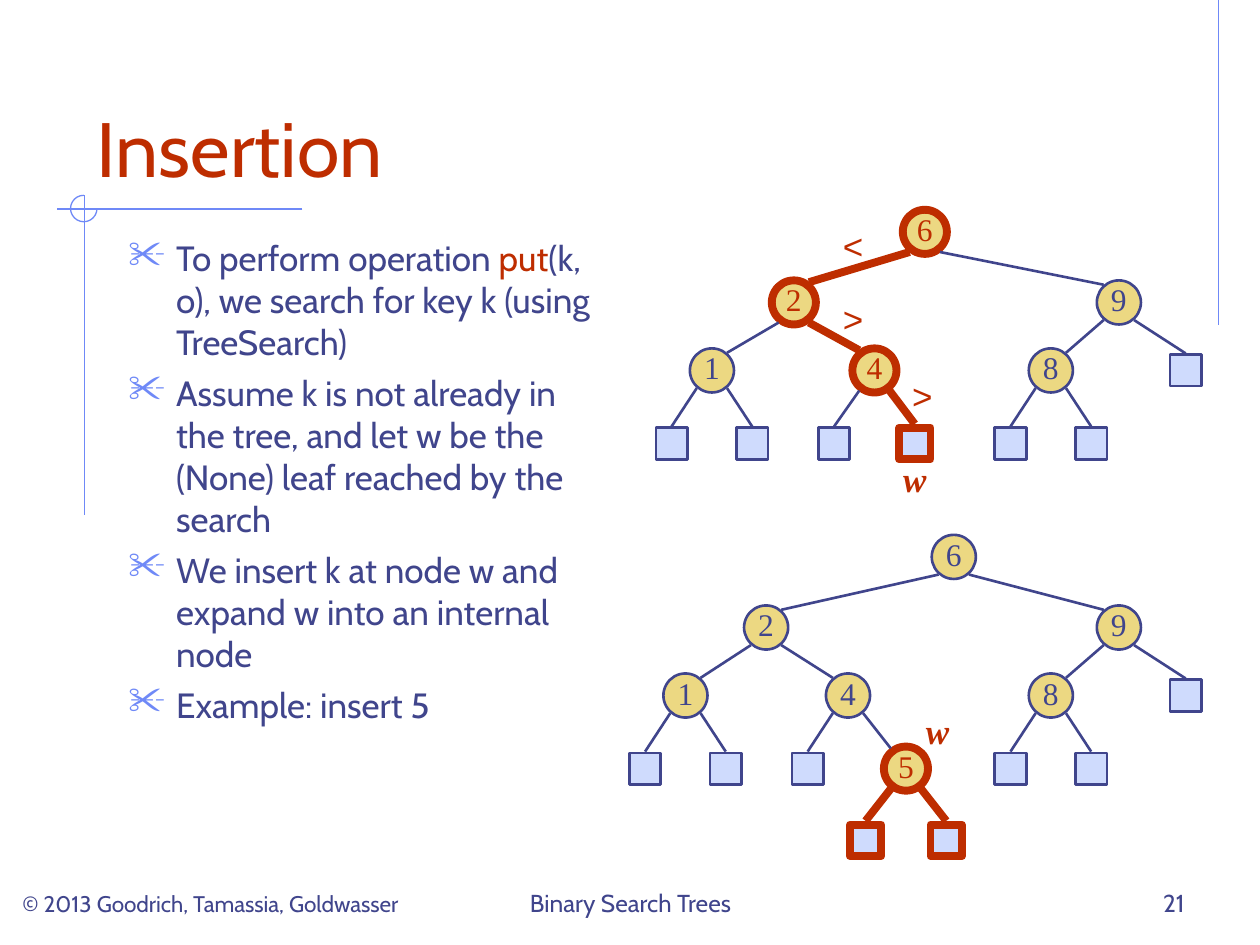
from lxml.etree import SubElement
from pptx import Presentation
from pptx.dml.color import RGBColor
from pptx.enum.shapes import MSO_CONNECTOR, MSO_SHAPE as Shape
from pptx.enum.text import MSO_ANCHOR as Anchor, MSO_AUTO_SIZE as AutoSize, PP_ALIGN as Align
from pptx.oxml.ns import qn
from pptx.util import Inches, Pt

COLORS = {"ink": "40458C", "hot": "BE2D00", "rule": "6F89F7", "node": "ECD882", "leaf": "CFDBFD"}

# Content
TITLE = "Insertion"
BULLETS = [
    [("To perform operation ", "ink"), ("put", "hot"),
     ("(k, o), we search for key k (using TreeSearch)", "ink")],
    [("Assume k is not already in the tree, and let w be the (None) leaf reached by the search", "ink")],
    [("We insert k at node w and expand w into an internal node", "ink")],
    [("Example: insert 5", "ink")],
]
FOOTERS = [  # text, left, width, size, alignment
    ("© 2013 Goodrich, Tamassia, Goldwasser", 0.08, 3.83, 12.9, Align.LEFT),
    ("Binary Search Trees", 3.42, 3.17, 14, Align.CENTER),
    ("21", 7.17, 2.33, 14, Align.RIGHT),
]
CORNER_RULES = [((9.67, 0), (9.67, 2.58)), ((2.4, 1.66), (0.45, 1.66)), ((0.67, 1.55), (0.67, 4.09))]
MARKS = [  # text, centre x, top
    ("<", 6.77, 1.73), (">", 6.77, 2.31), (">", 7.32, 2.92),
    ("w", 7.26, 3.58), ("w", 7.44, 5.58),
]

# Tree geometry: row centres below the root, leaves spread evenly under a node
ROWS = [0, 0.56, 1.1, 1.68, 2.25]
NODE, LEAF, SPREAD = 0.35, 0.25, 0.32
EDGE_X = 0.12


def leaf(x, hot=False):
    return {"key": None, "x": x, "hot": hot, "children": []}


def node(key, x, left=None, right=None, hot=False):
    return {"key": key, "x": x, "hot": hot,
            "children": [left or leaf(x - SPREAD), right or leaf(x + SPREAD)]}


right_branch = node("9", 8.88, node("8", 8.34), leaf(9.41))
before = node(
    "6", 7.34,
    node("2", 6.3, node("1", 5.65), node("4", 6.94, right=leaf(7.26, hot=True), hot=True), hot=True),
    right_branch, hot=True)
inserted = node("5", 7.19, leaf(6.87, hot=True), leaf(7.51, hot=True), hot=True)
after = node(
    "6", 7.57,
    node("2", 6.08, node("1", 5.44), node("4", 6.73, right=inserted)),
    right_branch)
TREES = [(before, 1.84), (after, 4.42)]  # root, centre y of the root

deck = Presentation()
deck.slide_width, deck.slide_height = Inches(10), Inches(7.5)
slide = deck.slides.add_slide(deck.slide_layouts[6])
shapes = slide.shapes


def rgb(name):
    return RGBColor.from_string(COLORS[name])


def style(font, size, color, face="Cabin"):
    font.size, font.name, font.color.rgb = Pt(size), face, rgb(color)


def add_line(start, end, color, weight):
    line = shapes.add_connector(MSO_CONNECTOR.STRAIGHT, *map(Inches, (*start, *end)))
    line.line.color.rgb, line.line.width = rgb(color), Pt(weight)
    SubElement(line.element.spPr, qn("a:effectLst"))


def add_text(text, box, size, color, align=Align.LEFT, anchor=Anchor.TOP, face="Cabin", wrap=True):
    frame = shapes.add_textbox(*map(Inches, box)).text_frame
    frame.word_wrap, frame.vertical_anchor = wrap, anchor
    frame.text = text
    frame.paragraphs[0].alignment = align
    style(frame.paragraphs[0].font, size, color, face)
    return frame


def stroke(item):
    return ("hot", 4.5) if item["hot"] else ("ink", 1.5)


def add_vertex(item, y):
    is_leaf = item["key"] is None
    side = LEAF if is_leaf else NODE
    vertex = shapes.add_shape(Shape.RECTANGLE if is_leaf else Shape.OVAL,
                              *map(Inches, (item["x"] - side / 2, y - side / 2, side, side)))
    vertex.shadow.inherit = False
    vertex.fill.solid()
    vertex.fill.fore_color.rgb = rgb("leaf" if is_leaf else "node")
    color, weight = stroke(item)
    vertex.line.color.rgb, vertex.line.width = rgb(color), Pt(weight)
    if not is_leaf:
        frame = vertex.text_frame
        frame.margin_left = frame.margin_right = frame.margin_top = 0
        frame.margin_bottom = Inches(0.05)
        frame.word_wrap, frame.vertical_anchor = False, Anchor.MIDDLE
        frame.text = item["key"]
        frame.paragraphs[0].alignment = Align.CENTER
        style(frame.paragraphs[0].runs[0].font, 18, color, "Times New Roman")


def edge_drop(item):
    return 0.16 if item["hot"] else 0.14


def add_edge(parent, parent_y, child, child_y):
    toward = 1 if child["x"] > parent["x"] else -1
    start = (parent["x"] + toward * EDGE_X, parent_y + edge_drop(parent))
    if child["key"] is None:
        end = (child["x"], child_y - LEAF / 2 - (0.03 if child["hot"] else 0.01))
    else:
        end = (child["x"] - toward * EDGE_X, child_y - edge_drop(child))
    on_path = parent["hot"] and child["hot"]
    add_line(start, end, *stroke({"hot": on_path}))


def add_tree(item, root_y, depth=0):
    y = root_y + ROWS[depth]
    add_vertex(item, y)
    for child in item["children"]:
        add_tree(child, root_y, depth + 1)
        add_edge(item, y, child, root_y + ROWS[depth + 1])


# Corner ornaments
for start, end in CORNER_RULES:
    add_line(start, end, "rule", 0.75)
ring = shapes.add_shape(Shape.ARC, *map(Inches, (0.56, 1.55, 0.21, 0.21)))
ring.shadow.inherit = False
ring.adjustments[0], ring.adjustments[1] = 0, 270 * 0.6  # three quarters, clockwise from the right
ring.fill.background()
ring.line.color.rgb, ring.line.width = rgb("rule"), Pt(0.75)

# Title and footers
add_text(TITLE, (0.67, 0.33, 8.75, 1.25), 44, "hot", anchor=Anchor.BOTTOM)
for text, left, width, size, align in FOOTERS:
    add_text(text, (left, 6.83, width, 0.5), size, "ink", align, Anchor.BOTTOM)

# Bullets
body = add_text("", (0.92, 1.83, 4, 4.75), 20, "ink")
for index, runs in enumerate(BULLETS):
    paragraph = body.add_paragraph() if index else body.paragraphs[0]
    props = paragraph._p.get_or_add_pPr()
    props.set("marL", str(Inches(0.38)))
    props.set("indent", str(-Inches(0.38)))
    if index:
        paragraph.space_before = Pt(5)
    bullet_color = SubElement(props, qn("a:buClr"))
    SubElement(bullet_color, qn("a:srgbClr"), val=COLORS["rule"])
    SubElement(props, qn("a:buSzPct"), val="110000")
    SubElement(props, qn("a:buChar"), char="✂")
    # Character defaults come last in the paragraph properties
    for defaults in props.findall(qn("a:defRPr")):
        props.append(defaults)
    for text, color in runs:
        run = paragraph.add_run()
        run.text = text
        style(run.font, 20, color)

# Trees before and after the insertion
for root, root_y in TREES:
    add_tree(root, root_y)

# Comparison signs and labels of w
for text, center, top in MARKS:
    is_label = text == "w"
    width = 0.38 if is_label else 0.36
    mark = add_text(text, (center - width / 2, top, width, 0.44), 20, "hot", Align.CENTER,
                    face="Times New Roman" if is_label else "Arial", wrap=False)
    mark.auto_size = AutoSize.SHAPE_TO_FIT_TEXT
    mark.paragraphs[0].runs[0].font.bold = mark.paragraphs[0].runs[0].font.italic = is_label

deck.save("out.pptx")
